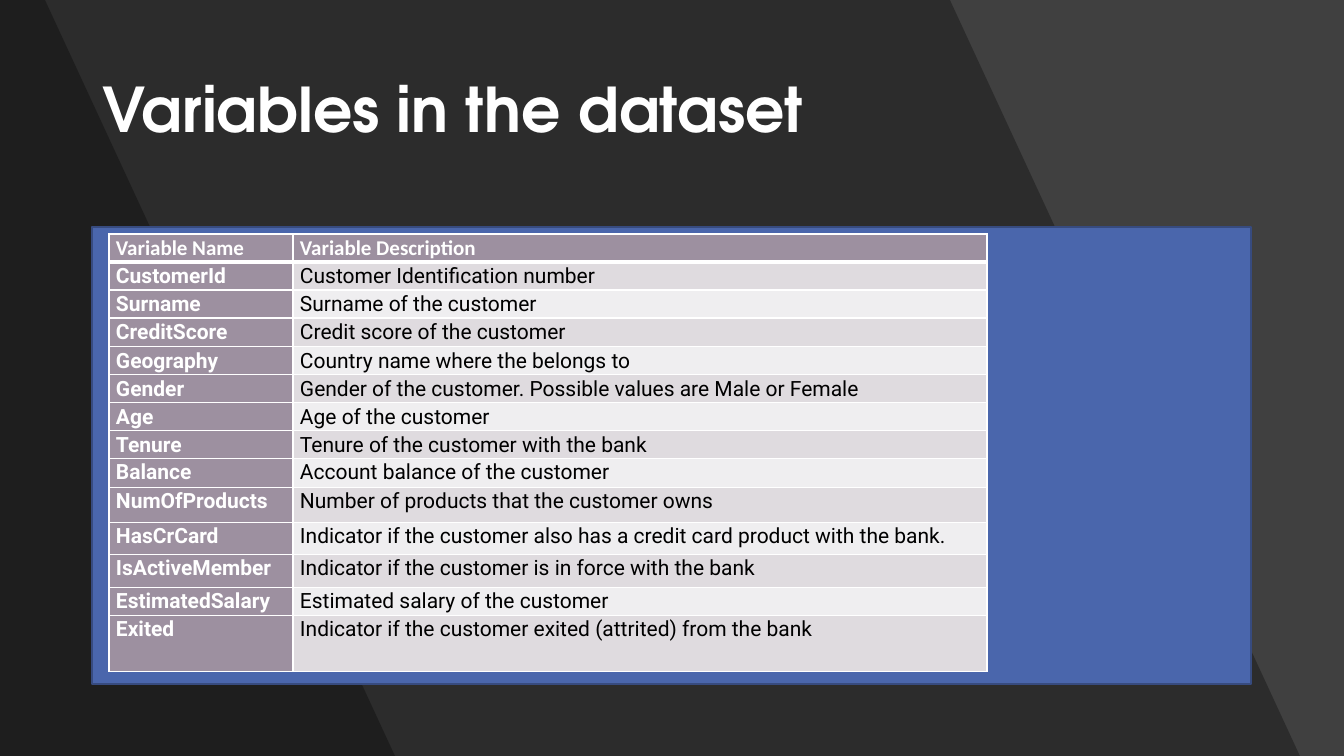
"""Build the slide that lists the variables in the customer dataset."""
from dataclasses import dataclass

from lxml import etree
from pptx import Presentation
from pptx.dml.color import RGBColor
from pptx.enum.shapes import MSO_SHAPE
from pptx.enum.text import MSO_ANCHOR, MSO_AUTO_SIZE, PP_ALIGN
from pptx.oxml.ns import qn
from pptx.util import Pt

RECTANGLE = MSO_SHAPE.RECTANGLE
MIDDLE, TOP = MSO_ANCHOR.MIDDLE, MSO_ANCHOR.TOP
NO_AUTOFIT = MSO_AUTO_SIZE.NONE
LEFT = PP_ALIGN.LEFT

TITLE = "Variables in the dataset"
VARIABLES = [
    ("Variable Name", "Variable Description"),
    ("CustomerId", "Customer Identification number"),
    ("Surname", "Surname of the customer"),
    ("CreditScore", "Credit score of the customer"),
    ("Geography", "Country name where the belongs to"),
    ("Gender", "Gender of the customer. Possible values are Male or Female"),
    ("Age", "Age of the customer"),
    ("Tenure", "Tenure of the customer with the bank"),
    ("Balance", "Account balance of the customer"),
    ("NumOfProducts", "Number of products that the customer owns"),
    ("HasCrCard", "Indicator if the customer also has a credit card product with the bank."),
    ("IsActiveMember", "Indicator if the customer is in force with the bank"),
    ("EstimatedSalary", "Estimated salary of the customer"),
    ("Exited", "Indicator if the customer exited (attrited) from the bank"),
]

SCALE = 914400 / 100.8
SLIDE_SIZE = (1344, 756)
BAND_EDGES = [(950, 1300), (45, 395)]
TITLE_BOX = (92, 40, 1160, 146)
PANEL_BOX = (92, 227, 1159, 457)
COLUMN_EDGES = (109, 293, 987)
ROW_EDGES = (234, 262, 290, 318, 347, 375, 403, 431, 459, 488, 523, 555, 588, 616, 672)
CELL_INSET = 7


@dataclass(frozen=True)
class Theme:
    background: str = "404040"
    band: str = "000000"
    band_alpha: int = 30000
    panel: str = "4A66AC"
    panel_line: str = "374B7F"
    heading: str = "9D90A0"
    stripes: tuple = ("EFEEF0", "DFDBDF")
    light: str = "FFFFFF"
    dark: str = "000000"
    title_font: str = "TeX Gyre Adventor"
    header_font: str = "Calibri"
    body_font: str = "Roboto"
    title_size: int = 44
    table_size: int = 15
    thin: int = 1
    thick: int = 3


THEME = Theme()


def px(length):
    return round(length * SCALE)


def paint(fill, color):
    fill.solid()
    fill.fore_color.rgb = RGBColor.from_string(color)


def style(paragraph, font, size, color, bold):
    paragraph.font.name = font
    paragraph.font.size = Pt(size)
    paragraph.font.bold = bold
    paragraph.font.color.rgb = RGBColor.from_string(color)


def add_band(slide, top_edge, bottom_edge):
    height = SLIDE_SIZE[1]
    outline = slide.shapes.build_freeform(0, 0, SCALE)
    outline.add_line_segments([(top_edge, 0), (bottom_edge, height), (0, height)])
    band = outline.convert_to_shape()
    band.shadow.inherit = False
    band.line.fill.background()
    paint(band.fill, THEME.band)
    tint = band.element.spPr.find(".//" + qn("a:srgbClr"))
    etree.SubElement(tint, qn("a:alpha"), val=str(THEME.band_alpha))
    slide.shapes.title.element.addprevious(band.element)


def fill_title(title):
    title.left, title.top, title.width, title.height = map(px, TITLE_BOX)
    frame = title.text_frame
    frame.text = TITLE
    frame.auto_size = NO_AUTOFIT
    frame.vertical_anchor = MIDDLE
    heading = frame.paragraphs[0]
    heading.alignment = LEFT
    heading.line_spacing = 0.9
    heading.space_after = Pt(6)
    style(heading, THEME.title_font, THEME.title_size, THEME.light, True)


def add_panel(slide):
    panel = slide.shapes.add_shape(RECTANGLE, *map(px, PANEL_BOX))
    panel.shadow.inherit = False
    paint(panel.fill, THEME.panel)
    panel.line.color.rgb = RGBColor.from_string(THEME.panel_line)
    panel.line.width = Pt(THEME.thin)


def add_borders(cell, row):
    properties = cell._tc.get_or_add_tcPr()
    top = THEME.thick if row == 1 else THEME.thin
    bottom = THEME.thick if row == 0 else THEME.thin
    widths = {"L": THEME.thin, "R": THEME.thin, "T": top, "B": bottom}
    for side, width in widths.items():
        border = etree.SubElement(properties, qn(f"a:ln{side}"), w=str(Pt(width)))
        fill = etree.SubElement(border, qn("a:solidFill"))
        etree.SubElement(fill, qn("a:srgbClr"), val=THEME.light)


def fill_cell(cell, text, row, column):
    is_heading = row == 0 or column == 0
    add_borders(cell, row)
    paint(cell.fill, THEME.heading if is_heading else THEME.stripes[row % 2])
    cell.margin_left = cell.margin_right = px(CELL_INSET)
    cell.margin_top = cell.margin_bottom = 0
    cell.vertical_anchor = TOP
    cell.text = text
    label = cell.text_frame.paragraphs[0]
    label.line_spacing = 1.07
    font = THEME.header_font if row == 0 else THEME.body_font
    style(label, font, THEME.table_size, THEME.light if is_heading else THEME.dark, is_heading)


def add_variables(slide):
    left, top = COLUMN_EDGES[0], ROW_EDGES[0]
    box = (left, top, COLUMN_EDGES[-1] - left, ROW_EDGES[-1] - top)
    table = slide.shapes.add_table(len(VARIABLES), len(VARIABLES[0]), *map(px, box)).table
    for column, start, end in zip(table.columns, COLUMN_EDGES, COLUMN_EDGES[1:]):
        column.width = px(end - start)
    for row, start, end in zip(table.rows, ROW_EDGES, ROW_EDGES[1:]):
        row.height = px(end - start)
    for row, texts in enumerate(VARIABLES):
        for column, text in enumerate(texts):
            fill_cell(table.cell(row, column), text, row, column)


def main():
    deck = Presentation()
    deck.slide_width, deck.slide_height = map(px, SLIDE_SIZE)
    slide = deck.slides.add_slide(deck.slide_layouts[5])
    paint(slide.background.fill, THEME.background)
    for edges in BAND_EDGES:
        add_band(slide, *edges)
    fill_title(slide.shapes.title)
    add_panel(slide)
    add_variables(slide)
    deck.save("out.pptx")


if __name__ == "__main__":
    main()
